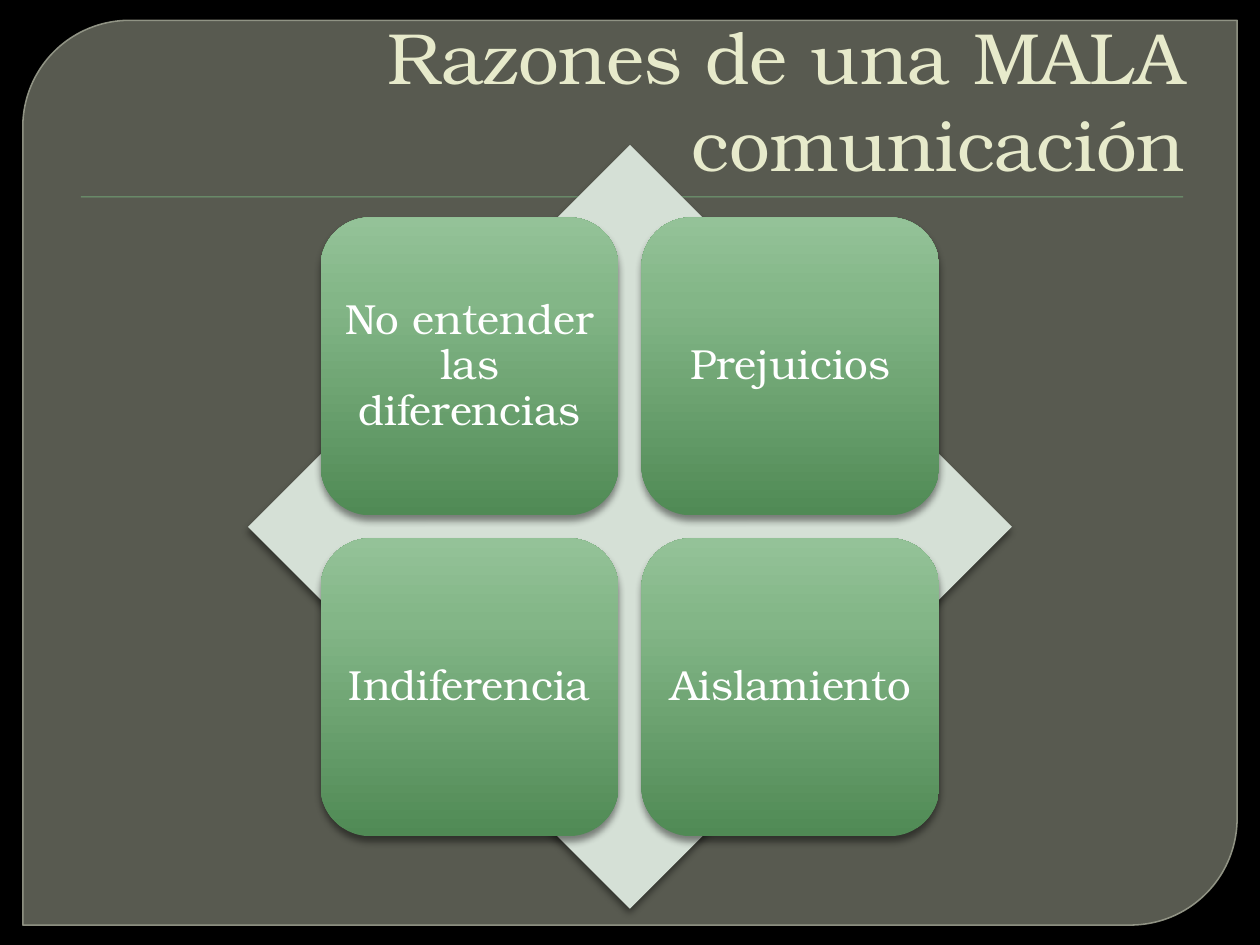
import copy

import lxml.etree
import pptx
import pptx.dml.color
import pptx.enum.shapes
import pptx.enum.text
import pptx.oxml.ns
import pptx.util

Cm = pptx.util.Cm
Pt = pptx.util.Pt
RGBColor = pptx.dml.color.RGBColor
SHAPE = pptx.enum.shapes.MSO_SHAPE
ALIGN = pptx.enum.text.PP_ALIGN
ANCHOR = pptx.enum.text.MSO_ANCHOR
qn = pptx.oxml.ns.qn

BLACK = RGBColor(0x00, 0x00, 0x00)
WHITE = RGBColor(0xFF, 0xFF, 0xFF)
PANEL = RGBColor(0x88, 0x8B, 0x7B)
PANEL_EDGE = RGBColor(0x9D, 0xA0, 0x90)
RULE = RGBColor(0x72, 0xA3, 0x76)
TITLE = RGBColor(0xE7, 0xEA, 0xCB)
DIAMOND = RGBColor(0xD5, 0xE0, 0xD6)
TILE_STOPS = [
    (0, RGBColor(0x50, 0x8A, 0x55)),
    (0.72, RGBColor(0x83, 0xB6, 0x87)),
    (1, RGBColor(0x94, 0xC2, 0x98)),
]
FONT = "TeX Gyre Bonum"
REASONS = ["No entender las diferencias", "Prejuicios", "Indiferencia", "Aislamiento"]


def add_block(page, kind, left, top, width, height, color=None):
    """Add a preset shape without outline or shadow."""
    shape = page.shapes.add_shape(kind, Cm(left), Cm(top), Cm(width), Cm(height))
    shape.shadow.inherit = False
    shape.line.fill.background()
    if color is not None:
        shape.fill.solid()
        shape.fill.fore_color.rgb = color
    return shape


def set_alpha(fill_element, percent):
    color = fill_element.find(".//" + qn("a:srgbClr"))
    lxml.etree.SubElement(color, qn("a:alpha"), val=str(percent * 1000))


def add_shadow(shape, percent, blur, distance):
    """Cast a soft black shadow straight down."""
    effects = shape.element.spPr.find(qn("a:effectLst"))
    shadow = lxml.etree.SubElement(
        effects, qn("a:outerShdw"), blurRad=str(Pt(blur)), dist=str(Pt(distance)),
        dir="5400000", rotWithShape="0")
    lxml.etree.SubElement(shadow, qn("a:srgbClr"), val=str(BLACK))
    set_alpha(shadow, percent)


def fill_gradient(shape, stops):
    """Blend the stops from the bottom of the shape to its top."""
    shape.fill.gradient()
    shape.fill.gradient_angle = 90
    stop_list = shape.element.spPr.find(".//" + qn("a:gsLst"))
    while len(stop_list) < len(stops):
        stop_list.append(copy.deepcopy(stop_list[0]))
    for stop, (position, color) in zip(shape.fill.gradient_stops, stops):
        stop.position = position
        stop.color.rgb = color


def write_text(shape, text, size, color, align, anchor, inset=0.0, spacing=1.0):
    frame = shape.text_frame
    frame.word_wrap = True
    frame.vertical_anchor = anchor
    frame.margin_left = frame.margin_right = Cm(inset)
    frame.margin_top = frame.margin_bottom = Cm(inset / 2)
    para = frame.paragraphs[0]
    para.alignment = align
    para.line_spacing = spacing
    span = para.add_run()
    span.text = text
    span.font.name = FONT
    span.font.size = Pt(size)
    span.font.color.rgb = color


def draw_backdrop(page, left, top, width, height):
    # Translucent panel with two opposite corners rounded
    panel = add_block(page, SHAPE.ROUND_2_DIAG_RECTANGLE, left, top, width, height, PANEL)
    panel.adjustments[0] = 0.118
    panel.adjustments[1] = 0
    set_alpha(panel.element.spPr.find(qn("a:solidFill")), 65)
    panel.line.color.rgb = PANEL_EDGE
    panel.line.width = Pt(0.87)
    set_alpha(panel.element.spPr.find(qn("a:ln")), 88)


def draw_heading(page, left, top, width, height):
    # Thin rule below the title
    rule = add_block(page, SHAPE.RECTANGLE, left + 0.36, top + height + 0.08,
                     width - 0.64, 0.02, RULE)
    add_shadow(rule, 75, 1, 1)
    # Title
    box = page.shapes.add_textbox(Cm(left), Cm(top), Cm(width), Cm(height))
    write_text(box, "Razones de una MALA comunicación", 41.4, TITLE,
               ALIGN.RIGHT, ANCHOR.BOTTOM, inset=0.25)


def draw_matrix(page, left, top, side):
    # Diamond behind the tiles
    diamond = add_block(page, SHAPE.DIAMOND, left, top, side, side, DIAMOND)
    add_shadow(diamond, 43, 4, 3)
    # Two by two tiles, centred on the diamond
    tile = side * 0.39
    step = side * 0.42
    margin = (side - step - tile) / 2
    for index, reason in enumerate(REASONS):
        row, column = divmod(index, 2)
        shape = add_block(page, SHAPE.ROUNDED_RECTANGLE, left + margin + column * step,
                          top + margin + row * step, tile, tile)
        fill_gradient(shape, TILE_STOPS)
        add_shadow(shape, 43, 4, 3)
        write_text(shape, reason, 24, WHITE, ALIGN.CENTER, ANCHOR.MIDDLE, spacing=0.9)


def main():
    deck = pptx.Presentation()
    deck.slide_width = Cm(25.4)
    deck.slide_height = Cm(19.05)
    page = deck.slides.add_slide(deck.slide_layouts[6])
    page.background.fill.solid()
    page.background.fill.fore_color.rgb = BLACK

    draw_backdrop(page, 0.46, 0.41, 24.48, 18.24)
    draw_heading(page, 1.27, 0.71, 22.86, 3.17)
    draw_matrix(page, 5, 2.92, 15.4)

    deck.save("out.pptx")


if __name__ == "__main__":
    main()
